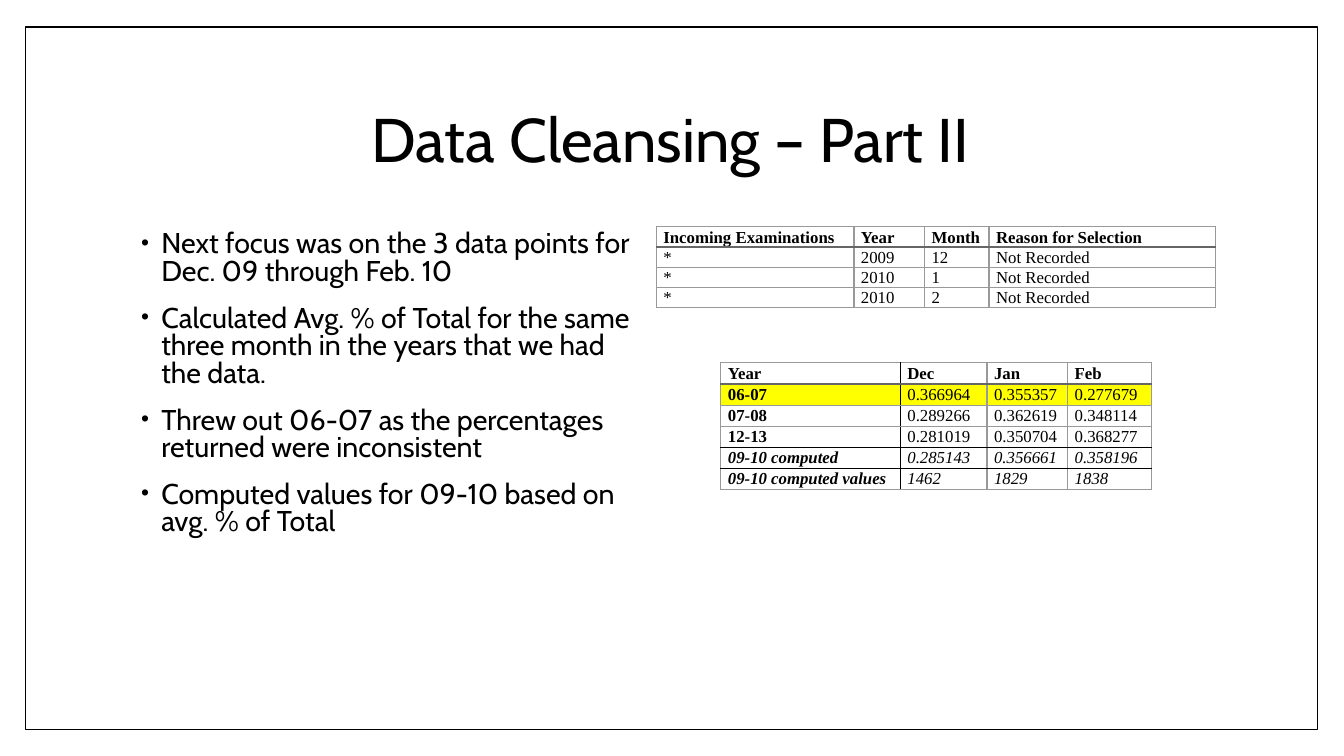
"""Build the Data Cleansing slide with its findings and two data tables."""
from lxml.etree import SubElement
from pptx import Presentation
from pptx.dml.color import RGBColor as Rgb
from pptx.enum.shapes import MSO_SHAPE as Shape
from pptx.enum.text import MSO_ANCHOR as Anchor, MSO_AUTO_SIZE as AutoSize, PP_ALIGN as Align
from pptx.oxml.ns import qn
from pptx.util import Pt

PX = 9144
COLORS = {"ink": "000000", "paper": "FFFFFF", "grid": "999999",
          "header": "666666", "highlight": "FFFF00"}
GRID, HEADER_RULE, BLACK_RULE = ("grid", 1), ("header", 1.5), ("ink", 1)


class DeckSlide:
    def __init__(self, deck):
        self.body_font, self.table_font = "Cabin", "Times New Roman"
        self.slide = deck.slides.add_slide(deck.slide_layouts[1])

    def place(self, shape, *box):
        shape.left, shape.top, shape.width, shape.height = (n * PX for n in box)

    def style(self, paragraph, size, font, bold=False, italic=False):
        for run in paragraph.runs:
            run.font.size, run.font.name = Pt(size), font
            run.font.bold, run.font.italic = bold, italic
            run.font.color.rgb = Rgb.from_string(COLORS["ink"])

    def frame(self, *box):
        border = self.slide.shapes.add_shape(Shape.RECTANGLE, *(n * PX for n in box))
        border.shadow.inherit = False
        border.fill.solid()
        border.fill.fore_color.rgb = Rgb.from_string(COLORS["paper"])
        border.line.color.rgb = Rgb.from_string(COLORS["ink"])
        border.line.width = Pt(1)
        self.slide.shapes._spTree.insert(2, border._element)

    def title(self, text, *box):
        heading = self.slide.shapes.title
        self.place(heading, *box)
        heading.text_frame.text = text
        heading.text_frame.auto_size = AutoSize.NONE
        heading.text_frame.vertical_anchor = Anchor.MIDDLE
        line = heading.text_frame.paragraphs[0]
        line.alignment, line.line_spacing = Align.CENTER, 0.9
        self.style(line, 44, self.body_font)

    def bullets(self, items, *box):
        body = self.slide.placeholders[1]
        self.place(body, *box)
        body.text_frame.text = "\n".join(items)
        body.text_frame.auto_size = AutoSize.NONE
        for index, point in enumerate(body.text_frame.paragraphs):
            point.line_spacing = 0.8
            point.space_before = Pt(14 if index else 0)
            props = point._p.get_or_add_pPr()
            props.set("marL", str(25 * PX))
            props.set("indent", str(-20 * PX))
            color = SubElement(props, qn("a:buClr"))
            SubElement(color, qn("a:srgbClr"), val=COLORS["ink"])
            SubElement(props, qn("a:buSzPct"), val="80000")
            SubElement(props, qn("a:buFont"), typeface="Arial")
            SubElement(props, qn("a:buChar"), char="•")
            self.style(point, 20.4, self.body_font)

    def border(self, cell, side, rule):
        color, width = rule
        line = SubElement(cell._tc.get_or_add_tcPr(), qn(f"a:ln{side}"), w=str(Pt(width)))
        fill = SubElement(line, qn("a:solidFill"))
        SubElement(fill, qn("a:srgbClr"), val=COLORS[color])

    def table(self, rows, left, top, widths, row_height, across, down=None,
              bold_labels=False, highlighted=(), italic_rows=()):
        down = down or {}
        grid = self.slide.shapes.add_table(
            len(rows), len(widths), left * PX, top * PX,
            sum(widths) * PX, len(rows) * row_height * PX).table
        grid.first_row = grid.horz_banding = False
        for column, width in zip(grid.columns, widths):
            column.width = width * PX
        for r, values in enumerate(rows):
            grid.rows[r].height = row_height * PX
            for c, value in enumerate(values):
                cell = grid.cell(r, c)
                cell.margin_left = cell.margin_right = 7 * PX
                cell.margin_top = cell.margin_bottom = 0
                cell.text_frame.text = value
                entry = cell.text_frame.paragraphs[0]
                entry.line_spacing = 1.07
                bold = r == 0 or (bold_labels and c == 0)
                self.style(entry, 12, self.table_font, bold, r in italic_rows)
                for side, rules, edge in (("L", down, c), ("R", down, c + 1),
                                          ("T", across, r), ("B", across, r + 1)):
                    self.border(cell, side, rules.get(edge, GRID))
                if r in highlighted:
                    cell.fill.solid()
                    cell.fill.fore_color.rgb = Rgb.from_string(COLORS["highlight"])
                else:
                    cell.fill.background()


def main():
    deck = Presentation()
    deck.slide_width, deck.slide_height = 1333 * PX, 750 * PX
    page = DeckSlide(deck)
    page.frame(25, 27, 1282, 697)
    page.title("Data Cleansing – Part II", 125, 67, 1080, 148)
    page.bullets([
        "Next focus was on the 3 data points for Dec. 09 through Feb. 10",
        "Calculated Avg. % of Total for the same three month in the years that we had the data.",
        "Threw out 06-07 as the percentages returned were inconsistent",
        "Computed values for 09-10 based on avg. % of Total",
    ], 125, 225, 526, 313)
    page.table([
        ("Incoming Examinations", "Year", "Month", "Reason for Selection"),
        ("*", "2009", "12", "Not Recorded"),
        ("*", "2010", "1", "Not Recorded"),
        ("*", "2010", "2", "Not Recorded"),
    ], 651, 225, (196, 70, 64, 225), 20, {1: HEADER_RULE})
    page.table([
        ("Year", "Dec", "Jan", "Feb"),
        ("06-07", "0.366964", "0.355357", "0.277679"),
        ("07-08", "0.289266", "0.362619", "0.348114"),
        ("12-13", "0.281019", "0.350704", "0.368277"),
        ("09-10 computed", "0.285143", "0.356661", "0.358196"),
        ("09-10 computed values", "1462", "1829", "1838"),
    ], 715, 360, (178, 86, 80, 83), 21,
        {1: HEADER_RULE, 4: BLACK_RULE, 5: BLACK_RULE}, {1: BLACK_RULE},
        bold_labels=True, highlighted=(1,), italic_rows=(4, 5))
    deck.save("out.pptx")


if __name__ == "__main__":
    main()
